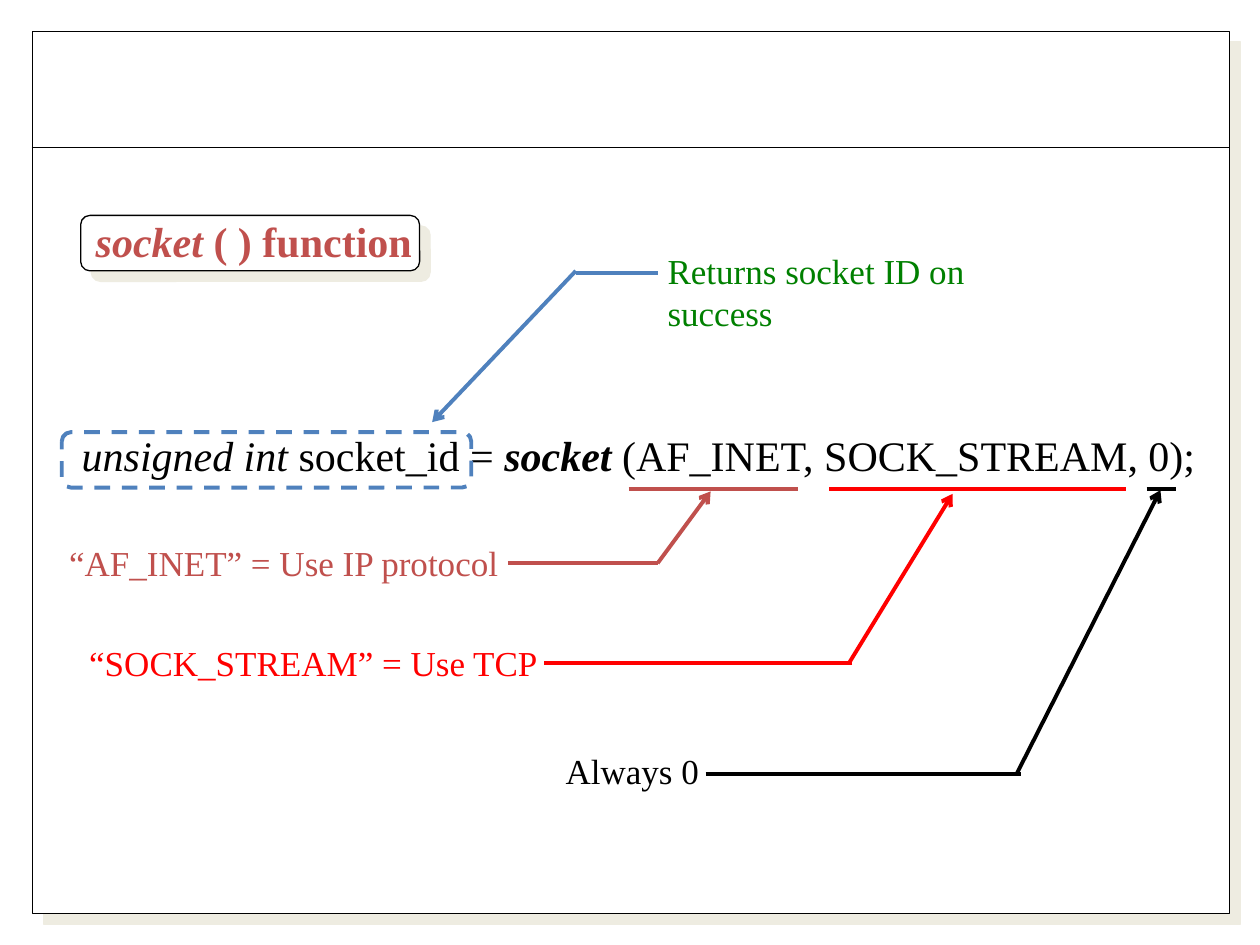
from dataclasses import dataclass
from typing import Optional

from lxml import etree
from pptx import Presentation
from pptx.dml import color
from pptx.enum import dml, shapes, text
from pptx.oxml import ns
from pptx.util import Inches, Pt

FONT = "Times New Roman"
BLACK, WHITE, BEIGE = "000000", "FFFFFF", "EEECE1"
MAROON, RED, BLUE, GREEN = "C0504D", "FF0000", "4F81BD", "008000"
UNDERLINE_Y = 3.88
Point = tuple[float, float]
Box = tuple[float, float, float, float]


@dataclass
class Run:
    words: str
    bold: bool = False
    italic: bool = False


@dataclass
class Callout:
    """A note, its leader line, the arrow that follows and an optional underline."""
    note: str
    box: Box
    note_color: str
    line_color: str
    leader: tuple[Point, Point]
    arrow: tuple[Point, Point]
    underline: Optional[tuple[float, float]] = None
    wrap: bool = False


CALLOUTS = [
    Callout("“AF_INET” = Use IP protocol", (0.45, 4.25, 3.61, 0.43), MAROON, MAROON,
            ((4.03, 4.47), (5.22, 4.47)), ((5.22, 4.47), (5.64, 3.9)), (4.99, 6.33)),
    Callout("“SOCK_STREAM” = Use TCP", (0.61, 5.04, 3.77, 0.43), RED, RED,
            ((4.32, 5.26), (6.76, 5.26)), ((6.74, 5.26), (7.56, 3.92)), (6.58, 8.94)),
    Callout("Returns socket ID on success", (5.2, 1.93, 2.8, 0.77), GREEN, BLUE,
            ((5.22, 2.17), (4.57, 2.17)), ((4.57, 2.15), (3.43, 3.35)), wrap=True),
    Callout("Always 0", (4.39, 5.9, 1.26, 0.43), BLACK, BLACK,
            ((5.6, 6.14), (8.1, 6.14)), ((8.07, 6.14), (9.21, 3.89)), (9.1, 9.33)),
]


def rgb(value: str) -> color.RGBColor:
    return color.RGBColor.from_string(value)


def place(shape, box: Box) -> None:
    shape.left, shape.top, shape.width, shape.height = map(Inches, box)


def write(shape, runs: list[Run], size: float, hue: str, wrap: bool = False) -> None:
    frame = shape.text_frame
    frame.auto_size = text.MSO_AUTO_SIZE.NONE
    frame.word_wrap = wrap
    frame.vertical_anchor = text.MSO_ANCHOR.TOP
    paragraph = frame.paragraphs[0]
    paragraph.alignment = text.PP_ALIGN.LEFT
    for part in runs:
        run = paragraph.add_run()
        run.text = part.words
        run.font.name, run.font.size = FONT, Pt(size)
        run.font.bold, run.font.italic = part.bold, part.italic
        run.font.color.rgb = rgb(hue)


def add_text(slide, box: Box, runs: list[Run], size: float, hue: str,
             wrap: bool = False) -> None:
    write(slide.shapes.add_textbox(*map(Inches, box)), runs, size, hue, wrap)


def add_panel(slide, kind, box: Box, hue: str = BLACK, weight: float = 0.75):
    panel = slide.shapes.add_shape(kind, *map(Inches, box))
    panel.shadow.inherit = False
    panel.line.color.rgb, panel.line.width = rgb(hue), Pt(weight)
    return panel


def fill_with_shadow(panel) -> None:
    panel.fill.solid()
    panel.fill.fore_color.rgb = rgb(WHITE)
    effects = panel._element.spPr.find(ns.qn("a:effectLst"))
    shadow = etree.SubElement(effects, ns.qn("a:outerShdw"), dist=str(Pt(8.5)),
                              dir="2700000", algn="ctr", rotWithShape="0")
    etree.SubElement(shadow, ns.qn("a:srgbClr"), val=BEIGE)


def add_line(slide, start: Point, end: Point, hue: str, weight: float = 2.25,
             arrow: bool = False) -> None:
    line = slide.shapes.add_connector(shapes.MSO_CONNECTOR.STRAIGHT,
                                      *map(Inches, start + end))
    line.line.color.rgb, line.line.width = rgb(hue), Pt(weight)
    if arrow:
        etree.SubElement(line.line._get_or_add_ln(), ns.qn("a:tailEnd"), type="arrow")
    etree.SubElement(line._element.spPr, ns.qn("a:effectLst"))


def add_callout(slide, callout: Callout) -> None:
    add_text(slide, callout.box, [Run(callout.note)], 20, callout.note_color, callout.wrap)
    if callout.underline:
        left, right = callout.underline
        add_line(slide, (left, UNDERLINE_Y), (right, UNDERLINE_Y), callout.line_color)
    add_line(slide, *callout.leader, callout.line_color)
    add_line(slide, *callout.arrow, callout.line_color, arrow=True)


def main() -> None:
    deck = Presentation()
    deck.slide_width, deck.slide_height = Inches(10), Inches(7.5)
    slide = deck.slides.add_slide(deck.slide_layouts[5])
    rounded = shapes.MSO_SHAPE.ROUNDED_RECTANGLE

    fill_with_shadow(add_panel(slide, shapes.MSO_SHAPE.RECTANGLE, (0.26, 0.25, 9.5, 7)))
    add_line(slide, (0.25, 1.17), (9.75, 1.17), BLACK, 0.75)
    fill_with_shadow(add_panel(slide, rounded, (0.64, 1.71, 2.69, 0.44)))

    title = slide.shapes.title
    place(title, (0.66, 1.66, 2.71, 0.5))
    write(title, [Run("socket", True, True), Run(" ( ) function", True)], 24, MAROON)
    slide.shapes._spTree.append(title._element)  # in front of its panel

    statement = [Run("unsigned int", italic=True), Run(" socket_id = "),
                 Run("socket", True, True), Run(" (AF_INET, SOCK_STREAM, 0);")]
    add_text(slide, (0.55, 3.36, 9.06, 0.5), statement, 24, BLACK)
    result_outline = add_panel(slide, rounded, (0.49, 3.43, 3.25, 0.44), BLUE, 2.25)
    result_outline.fill.background()
    result_outline.line.dash_style = dml.MSO_LINE.DASH

    for callout in CALLOUTS:
        add_callout(slide, callout)
    deck.save("out.pptx")


if __name__ == "__main__":
    main()
